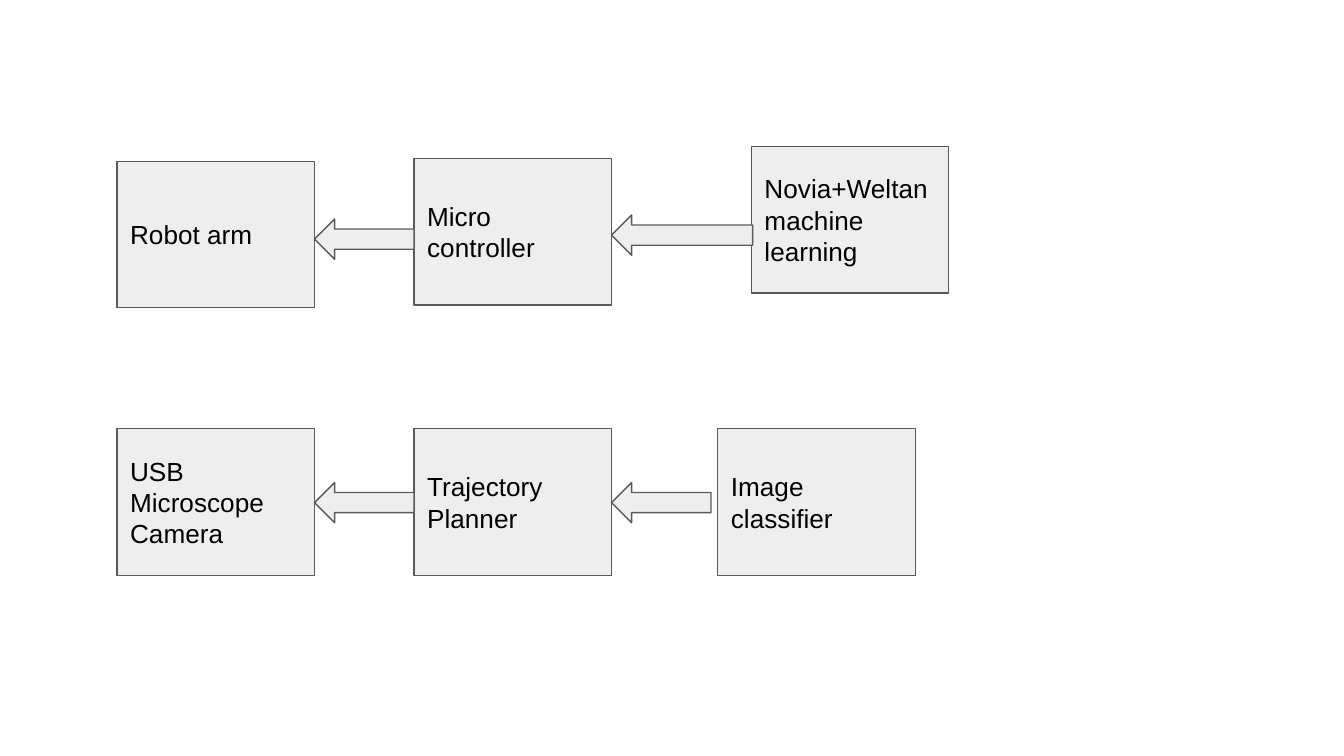
from dataclasses import dataclass

import pptx
import pptx.dml.color
import pptx.enum.shapes
import pptx.enum.text
import pptx.util

Inches = pptx.util.Inches
Pt = pptx.util.Pt
RGBColor = pptx.dml.color.RGBColor
MSO_SHAPE = pptx.enum.shapes.MSO_SHAPE

FILL = RGBColor(0xEE, 0xEE, 0xEE)
OUTLINE = RGBColor(0x59, 0x59, 0x59)
TEXT = RGBColor(0x00, 0x00, 0x00)

SLIDE_W = 10
SLIDE_H = SLIDE_W * 9 / 16
BOX_W, BOX_H = 1.47, 1.09
ARROW_H = 0.3
COL_1, COL_2 = 0.87, 3.08
BOTTOM_ROW = 3.19
BOTTOM_ARROWS = 3.59

FRAME_FORMAT = {
    "word_wrap": True,
    "vertical_anchor": pptx.enum.text.MSO_ANCHOR.MIDDLE,
    "margin_left": Inches(0.1),
    "margin_right": Inches(0.1),
    "margin_top": Inches(0.1),
    "margin_bottom": Inches(0.1),
}
FONT_FORMAT = {"name": "Arial", "size": Pt(14)}


@dataclass
class Box:
    left: float
    top: float
    lines: tuple[str, ...]


@dataclass
class Arrow:
    left: float
    top: float
    width: float = 0.74


BOXES = [
    Box(COL_1, 1.2, ("Robot arm",)),
    Box(COL_2, 1.18, ("Micro controller",)),
    Box(5.59, 1.09, ("Novia+Weltan machine learning",)),
    Box(COL_1, BOTTOM_ROW, ("USB Microscope Camera",)),
    Box(COL_2, BOTTOM_ROW, ("Trajectory", "Planner")),
    Box(5.34, BOTTOM_ROW, ("Image classifier",)),
]

# Each arrow tip touches the right edge of the box it feeds
ARROWS = [
    Arrow(COL_1 + BOX_W, 1.63),
    Arrow(COL_2 + BOX_W, 1.6, 1.05),
    Arrow(COL_1 + BOX_W, BOTTOM_ARROWS),
    Arrow(COL_2 + BOX_W, BOTTOM_ARROWS),
]


def set_format(target: object, values: dict) -> None:
    for name, value in values.items():
        setattr(target, name, value)


def add_outlined(s, kind, left: float, top: float, width: float, height: float):
    sp = s.shapes.add_shape(
        kind, Inches(left), Inches(top), Inches(width), Inches(height)
    )
    sp.shadow.inherit = False
    sp.fill.solid()
    sp.fill.fore_color.rgb = FILL
    sp.line.color.rgb = OUTLINE
    sp.line.width = Pt(0.75)
    return sp


def draw_box(s, box: Box) -> None:
    sp = add_outlined(s, MSO_SHAPE.RECTANGLE, box.left, box.top, BOX_W, BOX_H)
    tf = sp.text_frame
    set_format(tf, FRAME_FORMAT)
    for i, line in enumerate(box.lines):
        p = tf.add_paragraph() if i else tf.paragraphs[0]
        p.alignment = pptx.enum.text.PP_ALIGN.LEFT
        r = p.add_run()
        r.text = line
        set_format(r.font, FONT_FORMAT)
        r.font.color.rgb = TEXT


def draw_arrow(s, arrow: Arrow) -> None:
    add_outlined(
        s, MSO_SHAPE.LEFT_ARROW, arrow.left, arrow.top, arrow.width, ARROW_H
    )


def main() -> None:
    prs = pptx.Presentation()
    prs.slide_width, prs.slide_height = Inches(SLIDE_W), Inches(SLIDE_H)
    s = prs.slides.add_slide(prs.slide_layouts[6])

    # Components
    for box in BOXES:
        draw_box(s, box)

    # Flow from right to left
    for arrow in ARROWS:
        draw_arrow(s, arrow)

    prs.save("out.pptx")


if __name__ == "__main__":
    main()
